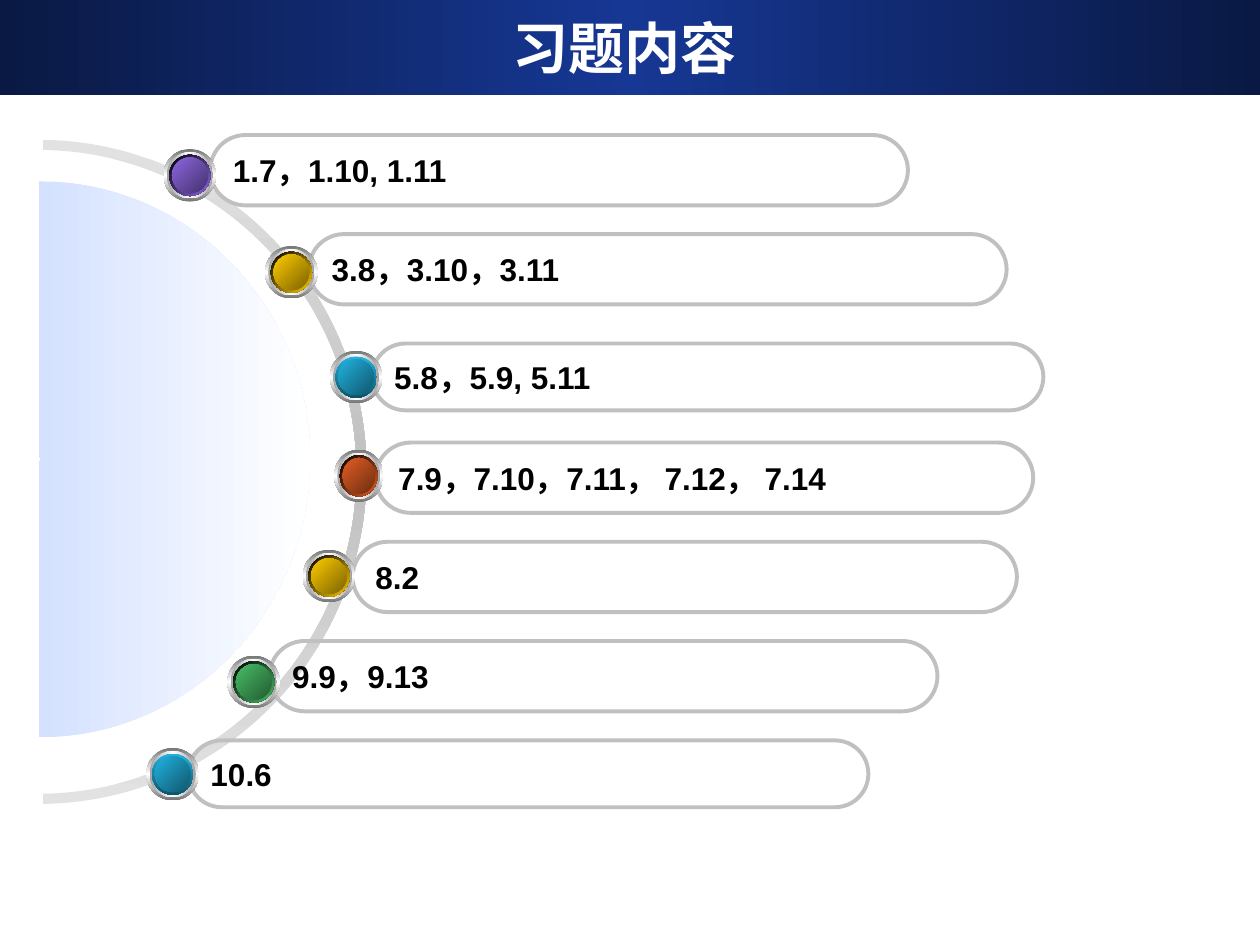
import dataclasses

import lxml.etree
import pptx
import pptx.dml.color
import pptx.enum.shapes
import pptx.enum.text
import pptx.oxml.ns
import pptx.util

Pt = pptx.util.Pt
RGB = pptx.dml.color.RGBColor
SHAPE = pptx.enum.shapes.MSO_SHAPE
MIDDLE = pptx.enum.text.MSO_ANCHOR.MIDDLE
ALIGN = pptx.enum.text.PP_ALIGN
qn = pptx.oxml.ns.qn


@dataclasses.dataclass(frozen=True)
class Theme:
    banner: tuple = ("0A1944", "163794", "0A1944")
    arc: tuple = ("E2E2E2", "C0C0C0", "E2E2E2")
    dome: tuple = ("D4E1FF", "FFFFFF")
    rim: tuple = ("767676", "FFFFFF", "767676")
    bevel: tuple = ("A2A2A2", "FFFFFF", "A2A2A2")
    outline: str = "C0C0C0"
    title: str = "FFFFFF"
    text: str = "000000"
    title_font: str = "DejaVu Sans"
    text_font: str = "Arial"
    title_size: int = 32
    text_size: int = 18


theme = Theme()
# Bead colours: bright face, dark face, socket gradient, socket angle
BEADS = {
    "purple": ("8D67E1", "45326D", ("000000", "8D67E1"), 45),
    "yellow": ("FFCC00", "7C6300", ("000000", "FFCC00"), 45),
    "cyan": ("21B3E1", "10576D", ("21B3E1", "0F5368"), 90),
    "orange": ("E35E23", "6E2E11", ("000000", "E35E23"), 45),
    "green": ("48BE67", "235C32", ("000000", "48BE67"), 45),
}


def paint_gradient(shape, colors, angle):
    """Fill with evenly spaced stops; the angle runs clockwise."""
    shape.shadow.inherit = False
    shape.line.fill.background()
    shape.fill.gradient()
    gradient = shape.fill._fill._gradFill
    stops = gradient.find(qn("a:gsLst"))
    for stop in list(stops):
        stops.remove(stop)
    for index, color in enumerate(colors):
        position = str(round(100000 * index / (len(colors) - 1)))
        stop = lxml.etree.SubElement(stops, qn("a:gs"), pos=position)
        lxml.etree.SubElement(stop, qn("a:srgbClr"), val=color)
    gradient.find(qn("a:lin")).set("ang", str(angle * 60000))


def add_outline(start, segments):
    """Closed outline: one point makes a line, three points make a Bezier curve."""
    builder = page.shapes.build_freeform(*map(Pt, start))
    builder.add_line_segments([tuple(map(Pt, point)) for segment in segments
                               for point in segment], close=True)
    shape = builder.convert_to_shape()
    lines = iter(list(shape._element.iter(qn("a:lnTo"))))
    for segment in segments:
        first, *others = [next(lines) for point in segment]
        if others:
            first.tag = qn("a:cubicBezTo")
        for other in others:
            first.append(other[0])
            other.getparent().remove(other)
    return shape


deck = pptx.Presentation()
deck.slide_width, deck.slide_height = Pt(720), Pt(540)
page = deck.slides.add_slide(deck.slide_layouts[6])

# Banner and title
banner = page.shapes.add_shape(SHAPE.RECTANGLE, 0, 0, Pt(720), Pt(54.5))
paint_gradient(banner, theme.banner, 0)
box = page.shapes.add_textbox(Pt(23.8), Pt(4.8), Pt(666), Pt(44.6))
box.text_frame.word_wrap = True
box.text_frame.vertical_anchor = MIDDLE
para = box.text_frame.paragraphs[0]
para.text = "习题内容"
para.alignment = ALIGN.CENTER
para.font.name, para.font.size, para.font.bold = theme.title_font, Pt(theme.title_size), True
para.font.color.rgb = RGB.from_string(theme.title)

# Grey arc
arc = add_outline((24.5, 85.7), [
    [(123.8, 87.1), (203.8, 169.2), (203.8, 270)],
    [(203.8, 370.1), (123.8, 452.2), (24.5, 453.6)],
    [(24.5, 459.4)],
    [(127.4, 457.9), (209.5, 373.7), (209.5, 270)],
    [(209.5, 165.6), (127.4, 81.4), (24.5, 79.9)],
    [(24.5, 85.7)],
])
paint_gradient(arc, theme.arc, 90)

# Pale dome
dome = add_outline((22.3, 263.5), [
    [(23, 263.5), (23, 262.8), (23, 262.1)],
    [(23, 262.1), (23, 261.4), (22.3, 261.4)],
    [(22.3, 103.7)],
    [(108, 103.7), (177.1, 175), (177.1, 262.1)],
    [(177.1, 349.9), (108, 421.2), (22.3, 421.2)],
    [(22.3, 263.5)],
])
paint_gradient(dome, theme.dome, 0)

# Each row: text, pill (left, top, width, height), bead colour, bead (left, top, width)
rows = [
    ("1.7，1.10, 1.11", (120.1, 77.2, 398.7, 40.2), "purple", (93.5, 85.2, 30)),
    ("3.8，3.10，3.11", (176.5, 133.8, 398.7, 40.2), "yellow", (151.5, 140.6, 30)),
    ("5.8，5.9, 5.11", (212.6, 196.3, 383.6, 38.2), "cyan", (188.5, 200.5, 30)),
    ("7.9，7.10，7.11， 7.12， 7.14", (214.6, 252.9, 375.8, 40.2), "orange", (191, 256.9, 28)),
    ("8.2", (201.5, 309.6, 379.6, 40.2), "yellow", (173, 314.2, 30)),
    ("9.9，9.13", (154, 366.3, 381.7, 40.2), "green", (130, 374.7, 30)),
    ("10.6", (107.6, 423.1, 388.6, 38.2), "cyan", (83.7, 427.4, 30)),
]
bead_height = 30
for text, pill_place, color_name, (left, top, width) in rows:
    # Pill with its text
    pill = page.shapes.add_shape(SHAPE.ROUNDED_RECTANGLE, *map(Pt, pill_place))
    pill.adjustments[0] = 0.5
    pill.shadow.inherit = False
    pill.fill.background()
    pill.line.color.rgb = RGB.from_string(theme.outline)
    pill.line.width = Pt(2.25)
    pill.text_frame.word_wrap = True
    pill.text_frame.vertical_anchor = MIDDLE
    para = pill.text_frame.paragraphs[0]
    para.text = text
    para.alignment = ALIGN.LEFT
    para.font.name, para.font.size, para.font.bold = theme.text_font, Pt(theme.text_size), True
    para.font.color.rgb = RGB.from_string(theme.text)

    # Bead of nested discs
    bright, dark, socket, socket_angle = BEADS[color_name]
    bead = page.shapes.add_group_shape()
    for inset, colors, angle in ((0, theme.rim, 90), (1.8, theme.bevel, 0),
                                 (3.2, socket, socket_angle), (4.8, (bright, dark), 45)):
        disc = bead.shapes.add_shape(SHAPE.OVAL, Pt(left + inset), Pt(top + inset),
                                     Pt(width - 2 * inset), Pt(bead_height - 2 * inset))
        paint_gradient(disc, colors, angle)

deck.save("out.pptx")
